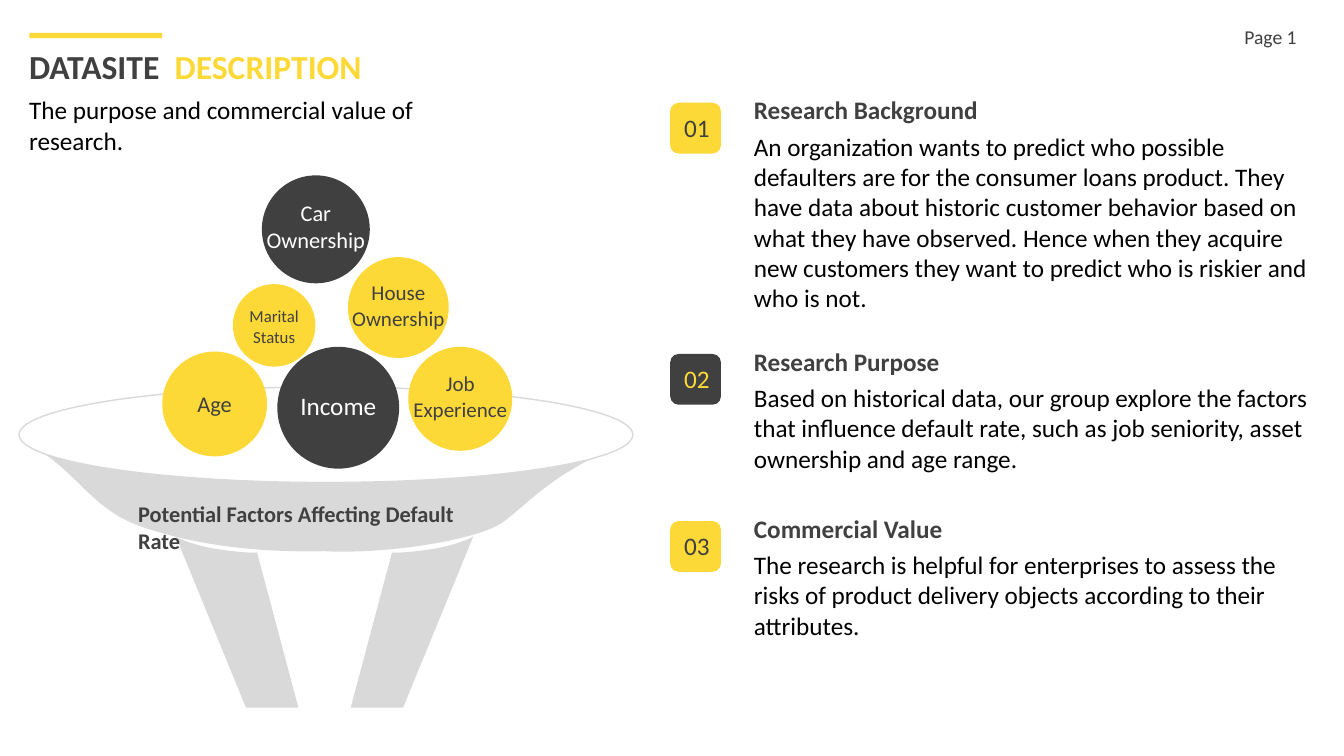
from dataclasses import dataclass

from pptx import Presentation
from pptx import util as u
from pptx.dml.color import RGBColor
from pptx.enum import shapes, text
from pptx.oxml.ns import qn

YELLOW = RGBColor(0xFD, 0xD9, 0x38)
CHARCOAL = RGBColor(0x40, 0x40, 0x40)
SILVER = RGBColor(0xD9, 0xD9, 0xD9)
WHITE = RGBColor(0xFF, 0xFF, 0xFF)
BLACK = RGBColor(0, 0, 0)
FUNNEL_AXIS = 8.18


@dataclass
class Ball:
    label: str
    left: float
    top: float
    size: float
    fill: RGBColor
    label_top: float
    label_width: float
    label_height: float
    points: int
    color: RGBColor


@dataclass
class Section:
    number: str
    heading: str
    heading_width: float
    body: str
    top: float
    height: float
    fill: RGBColor
    color: RGBColor


BALLS = [
    Ball("Age", 4.09, 8.86, 2.64, YELLOW, 9.7, 1.4, 0.94, 16, CHARCOAL),
    Ball("Income", 6.99, 8.74, 3.07, CHARCOAL, 9.7, 2.44, 1.02, 18, WHITE),
    Ball("Job\nExperience", 10.29, 8.74, 2.62, YELLOW, 9.22, 2.92, 1.55, 15, CHARCOAL),
    Ball("House\nOwnership", 8.77, 6.48, 2.54, YELLOW, 6.93, 2.87, 1.55, 15, CHARCOAL),
    Ball("Marital\nStatus", 5.87, 7.16, 2.08, YELLOW, 7.59, 1.78, 1.27, 12, CHARCOAL),
    Ball("Car\nOwnership", 6.6, 4.42, 2.72, CHARCOAL, 4.9, 3.02, 1.63, 16, WHITE),
]
SECTIONS = [
    Section("01", "Research Background", 6.2,
            "An organization wants to predict who possible defaulters are for the "
            "consumer loans product. They have data about historic customer behavior "
            "based on what they have observed. Hence when they acquire new customers "
            "they want to predict who is riskier and who is not.",
            2.26, 4.88, YELLOW, CHARCOAL),
    Section("02", "Research Purpose", 5.23,
            "Based on historical data, our group explore the factors that influence "
            "default rate, such as job seniority, asset ownership and age range.",
            8.59, 3.33, CHARCOAL, YELLOW),
    Section("03", "Commercial Value", 5.28,
            "The research is helpful for enterprises to assess the risks of product "
            "delivery objects according to their attributes.",
            12.8, 2.57, YELLOW, CHARCOAL),
]
BOWL = [
    [(0.48, 11.05)],
    [(1.98, 11.79), (2.21, 12.85), (3.68, 13.31)],
    [(5.13, 13.79), (6.68, 13.92), (8.18, 13.89)],
    [(9.75, 13.97), (12.04, 13.61), (12.67, 13.16)],
    [(13.31, 12.7), (13.92, 11.91), (15.7, 11.2)],
]
RIGHT_LEG = [
    [(9.88, 13.92)], [(8.84, 17.83)], [(10.16, 17.83)], [(11.94, 13.49)],
    [(11.99, 13.54), (11.38, 13.77), (10.87, 13.84)],
    [(10.36, 13.92), (9.91, 13.94), (9.88, 13.92)],
]
LEFT_LEG = [[(2 * FUNNEL_AXIS - x, y) for x, y in part] for part in RIGHT_LEG]


def write(frame, spans, points, bold=False, align=text.PP_ALIGN.LEFT,
          wrap=True) -> None:
    settings = {"word_wrap": wrap, "vertical_anchor": text.MSO_ANCHOR.TOP,
                "auto_size": text.MSO_AUTO_SIZE.NONE}
    for name, value in settings.items():
        setattr(frame, name, value)
    para = frame.paragraphs[0]
    for content, color in spans:
        for index, line in enumerate(content.split("\n")):
            if index:
                para = frame.add_paragraph()
            span = para.add_run()
            span.text = line
            font = {"name": "Calibri", "size": u.Pt(points), "bold": bold}
            for name, value in font.items():
                setattr(span.font, name, value)
            span.font.color.rgb = color
    for para in frame.paragraphs:
        for name, value in {"alignment": align, "space_before": u.Pt(0)}.items():
            setattr(para, name, value)


def place(shape, left: float, top: float, width: float, height: float) -> None:
    values = {"left": left, "top": top, "width": width, "height": height}
    for name, value in values.items():
        setattr(shape, name, u.Cm(value))


def paint(shape, fill: RGBColor):
    shape.shadow.inherit = False
    shape.fill.solid()
    shape.fill.fore_color.rgb = fill
    shape.line.fill.background()
    return shape


def add_block(page, kind, left: float, top: float, width: float, height: float,
              fill: RGBColor):
    shape = page.shapes.add_shape(kind, u.Cm(left), u.Cm(top), u.Cm(width), u.Cm(height))
    return paint(shape, fill)


def add_label(page, content: str, left: float, top: float, width: float,
              height: float, points: int, color: RGBColor, **style) -> None:
    box = page.shapes.add_textbox(u.Cm(left), u.Cm(top), u.Cm(width), u.Cm(height))
    write(box.text_frame, [(content, color)], points, **style)


def add_outline(page, parts) -> None:
    corners = [(u.Cm(x), u.Cm(y)) for part in parts for x, y in part]
    builder = page.shapes.build_freeform(*corners[0])
    builder.add_line_segments(corners[1:], close=True)
    shape = paint(builder.convert_to_shape(), SILVER)
    segments = iter(list(shape._element.iter(qn("a:lnTo"))))
    for part in parts[1:]:
        members = [next(segments) for _ in part]
        if len(part) == 3:
            curve = members[0].makeelement(qn("a:cubicBezTo"), {})
            members[0].addprevious(curve)
            for member in members:
                curve.append(member[0])
                member.getparent().remove(member)


def add_header(page) -> None:
    add_block(page, shapes.MSO_SHAPE.RECTANGLE, 0.74, 0.83, 3.35, 0.13, YELLOW)
    title = page.shapes.title
    place(title, 0.48, 1.02, 8.97, 1.27)
    write(title.text_frame, [("DATASITE  ", CHARCOAL), ("DESCRIPTION", YELLOW)], 24,
          bold=True, wrap=False)
    subtitle = page.placeholders[1]
    place(subtitle, 0.48, 2.26, 12.47, 1.8)
    write(subtitle.text_frame, [("The purpose and commercial value of research.", BLACK)], 18)
    layout = subtitle.text_frame.paragraphs[0]._p.get_or_add_pPr()
    for name in ("marL", "indent"):
        layout.set(name, "0")
    layout.append(layout.makeelement(qn("a:buNone"), {}))
    add_label(page, "Page 1", 31.11, 0.5, 1.85, 0.86, 14, CHARCOAL, wrap=False)


def add_funnel(page) -> None:
    add_outline(page, BOWL)
    rim = add_block(page, shapes.MSO_SHAPE.OVAL, 0.48, 9.75, 15.47, 2.41, WHITE)
    rim.line.color.rgb = SILVER
    rim.line.width = u.Pt(1)
    for ball in BALLS:
        add_block(page, shapes.MSO_SHAPE.OVAL, ball.left, ball.top,
                  ball.size, ball.size, ball.fill)
    for leg in (RIGHT_LEG, LEFT_LEG):
        add_outline(page, leg)
    add_label(page, "Potential Factors Affecting Default Rate", 3.23, 12.47, 9.12, 0.86,
              16, CHARCOAL, bold=True)
    for ball in BALLS:
        left = ball.left + (ball.size - ball.label_width) / 2
        add_label(page, ball.label, left, ball.label_top, ball.label_width,
                  ball.label_height, ball.points, ball.color,
                  align=text.PP_ALIGN.CENTER, wrap=False)


def add_section(page, section: Section) -> None:
    add_block(page, shapes.MSO_SHAPE.ROUNDED_RECTANGLE, 16.89, section.top + 0.33,
              1.28, 1.28, section.fill)
    add_label(page, section.body, 18.75, section.top + 0.92, 14.94, section.height,
              18, BLACK)
    add_label(page, section.heading, 18.75, section.top, section.heading_width, 1.02,
              18, CHARCOAL, bold=True, wrap=False)
    add_label(page, section.number, 16.99, section.top + 0.45, 1.17, 1.02,
              18, section.color, wrap=False)


def main() -> None:
    deck = Presentation()
    deck.slide_width, deck.slide_height = u.Cm(33.87), u.Cm(19.05)
    page = deck.slides.add_slide(deck.slide_layouts[1])
    add_header(page)
    add_funnel(page)
    for section in SECTIONS:
        add_section(page, section)
    deck.save("out.pptx")


if __name__ == "__main__":
    main()
